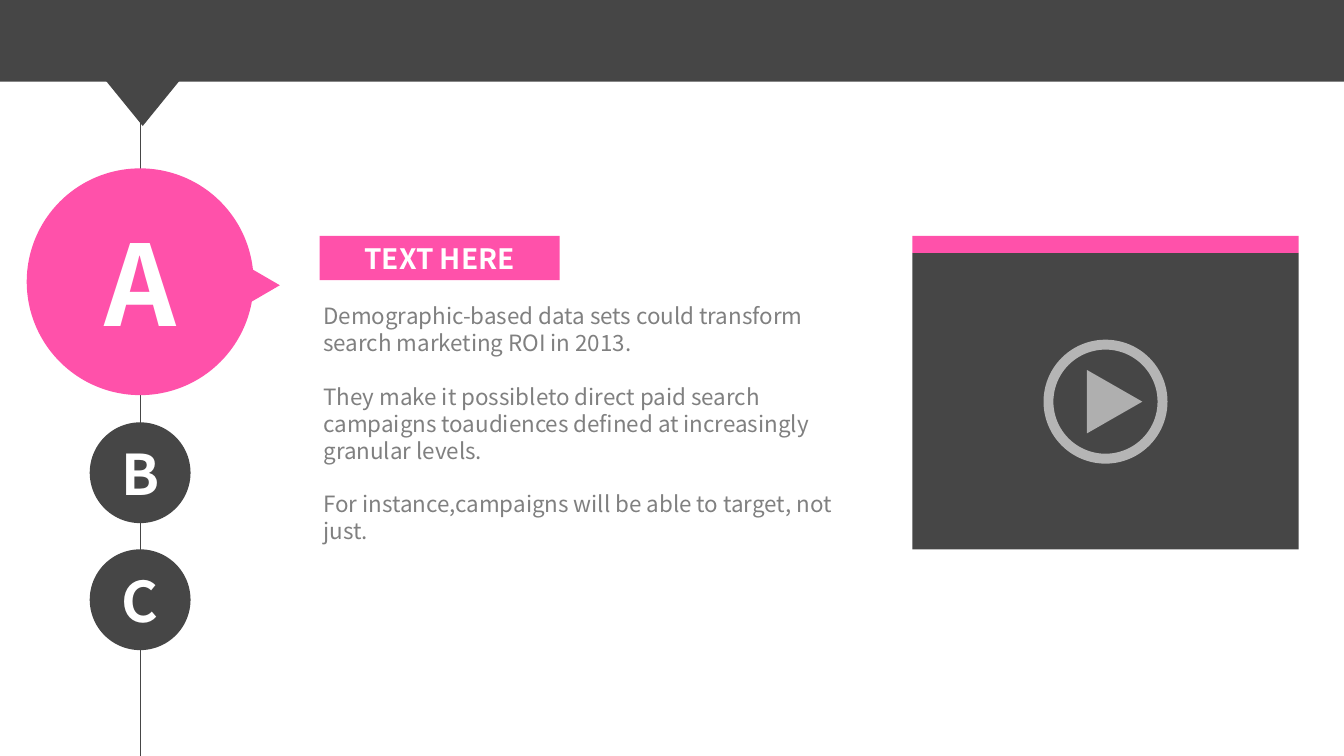
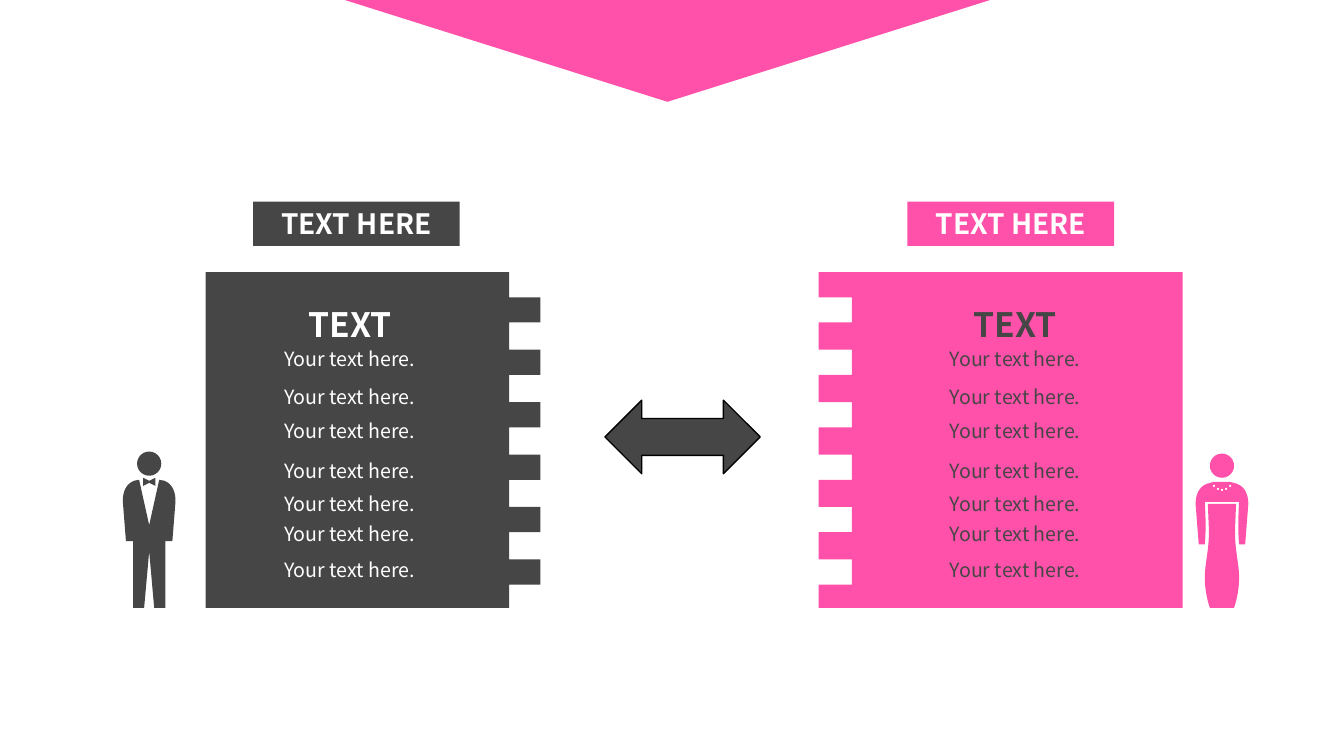
"""Build two pink and charcoal slides: a video agenda and a two-sided comparison."""
from lxml.etree import SubElement
from pptx import Presentation
from pptx.dml.color import RGBColor
from pptx.enum.shapes import MSO_CONNECTOR, MSO_SHAPE
from pptx.enum.text import MSO_ANCHOR, PP_ALIGN
from pptx.oxml.ns import qn
from pptx.util import Inches, Pt

COLORS = {"pink": "FF51AA", "dark": "464646", "white": "FFFFFF",
          "gray": "808080", "black": "000000"}
FONT = "Noto Sans CJK SC"
BLANK_LAYOUT = 6


def color(name):
    return RGBColor.from_string(COLORS[name])


def curve(start, first_control, second_control, end, steps=12):
    points = []
    for step in range(steps + 1):
        t = step / steps
        weights = ((1 - t) ** 3, 3 * t * (1 - t) ** 2, 3 * t * t * (1 - t), t ** 3)
        anchors = (start, first_control, second_control, end)
        points.append(tuple(sum(w * p[axis] for w, p in zip(weights, anchors))
                            for axis in (0, 1)))
    return points


def mirrored(center, half):
    right = [(center + x, y) for x, y in half]
    left = [(center - x, y) for x, y in reversed(half)]
    return right + left


class Deck:
    def __init__(self):
        self.presentation = Presentation()
        self.presentation.slide_width = Inches(13.33)
        self.presentation.slide_height = Inches(7.5)

    def new_slide(self):
        layout = self.presentation.slide_layouts[BLANK_LAYOUT]
        self.slide = self.presentation.slides.add_slide(layout)
        self.end_group()

    def start_group(self):
        self.shapes = self.slide.shapes.add_group_shape().shapes

    def end_group(self):
        self.shapes = self.slide.shapes

    def paint(self, shape, fill, alpha=None):
        shape.shadow.inherit = False
        shape.fill.solid()
        shape.fill.fore_color.rgb = color(fill)
        shape.line.fill.background()
        if alpha:
            fill_color = shape._element.spPr.find(qn("a:solidFill"))[0]
            SubElement(fill_color, qn("a:alpha")).set("val", str(alpha * 1000))

    def shape(self, kind, left, top, width, height, fill, rotation=0, alpha=None):
        shape = self.shapes.add_shape(kind, Inches(left), Inches(top),
                                      Inches(width), Inches(height))
        shape.rotation = rotation
        self.paint(shape, fill, alpha)
        return shape

    def outline(self, points, fill):
        corners = [(Inches(x), Inches(y)) for x, y in points]
        builder = self.shapes.build_freeform(*corners[0])
        builder.add_line_segments(corners[1:], close=True)
        self.paint(builder.convert_to_shape(), fill)

    def set_text(self, shape, paragraphs, size, fill, bold=False,
                 align=PP_ALIGN.LEFT, anchor=MSO_ANCHOR.TOP, gap=0):
        frame = shape.text_frame
        frame.word_wrap = True
        frame.vertical_anchor = anchor
        for index, text in enumerate(paragraphs):
            paragraph = frame.add_paragraph() if index else frame.paragraphs[0]
            paragraph.text = text
            paragraph.alignment = align
            if index:
                paragraph.space_before = Pt(gap)
            paragraph.font.name = FONT
            paragraph.font.size = Pt(size)
            paragraph.font.bold = bold
            paragraph.font.color.rgb = color(fill)

    def text(self, left, top, width, height, paragraphs, size, fill, **style):
        box = self.shapes.add_textbox(Inches(left), Inches(top),
                                      Inches(width), Inches(height))
        self.set_text(box, paragraphs, size, fill, **style)

    def caption(self, kind, left, top, width, height, fill, text, size):
        shape = self.shape(kind, left, top, width, height, fill)
        self.set_text(shape, [text], size, "white", bold=True,
                      align=PP_ALIGN.CENTER, anchor=MSO_ANCHOR.MIDDLE)

    def label(self, left, top, width, fill):
        self.caption(MSO_SHAPE.RECTANGLE, left, top, width, 0.44, fill, "TEXT HERE", 20)

    def line(self, start, end, fill, width):
        connector = self.shapes.add_connector(
            MSO_CONNECTOR.STRAIGHT, *(Inches(value) for value in start + end))
        connector.line.color.rgb = color(fill)
        connector.line.width = Pt(width)
        SubElement(connector._element.spPr, qn("a:effectLst"))

    def comb_panel(self, far, edge, teeth, fill):
        points = [(far, 2.7), (edge, 2.7)]
        for index in range(6):
            top = 2.95 + 0.52 * index
            bottom = top + 0.25
            points += [(edge, top), (teeth, top), (teeth, bottom), (edge, bottom)]
        self.outline(points + [(edge, 6.03), (far, 6.03)], fill)

    def text_list(self, left, fill):
        self.start_group()
        self.text(left + 0.24, 2.97, 1.35, 0.5, ["TEXT"], 24, fill, bold=True)
        for top in (3.39, 3.77, 4.11, 4.5, 4.83, 5.13, 5.49):
            self.text(left, top, 1.64, 0.34, ["Your text here."], 14, fill)
        self.end_group()

    def head(self, center, top, fill):
        self.shape(MSO_SHAPE.OVAL, center - 0.12, top, 0.24, 0.24, fill)

    def man(self, center, fill):
        shoulder = curve((0.15, 4.77), (0.28, 4.82), (0.26, 4.99), (0.26, 4.99))
        suit = [(0, 5.21), (0.1, 4.76), *shoulder, (0.23, 5.37), (0.16, 5.37),
                (0.16, 6.03), (0.05, 6.03), (0, 5.47)]
        bow_tie = [(0, 4.77), (0.06, 4.74), (0.06, 4.82), (0, 4.79)]
        self.start_group()
        self.head(center, 4.48, fill)
        for half in (suit, bow_tie):
            self.outline(mirrored(center, half), fill)
        self.end_group()

    def woman(self, center, fill):
        shoulder = curve((0.15, 4.8), (0.28, 4.85), (0.26, 5.02), (0.26, 5.02))
        sleeve = curve((0.17, 5.4), (0.16, 5.3), (0.16, 5.14), (0.17, 4.98))
        jacket = [(0, 4.78), (0.08, 4.78), *shoulder, (0.23, 5.4), *sleeve, (0, 4.98)]
        hip = curve((0.13, 5.3), (0.13, 5.46), (0.17, 5.6), (0.17, 5.73))
        hem = curve((0.17, 5.73), (0.17, 5.88), (0.13, 6), (0.12, 6.03))
        dress = [(0, 5), (0.14, 5), (0.13, 5.24), *hip, *hem, (0, 6.03)]
        self.start_group()
        for half in (jacket, dress):
            self.outline(mirrored(center, half), fill)
        for offset, top in ((-0.08, 4.81), (-0.04, 4.84), (0, 4.85), (0.04, 4.84), (0.08, 4.81)):
            self.shape(MSO_SHAPE.OVAL, center + offset - 0.01, top, 0.02, 0.02, "white")
        self.head(center, 4.5, fill)
        self.end_group()

    def video(self, left, top, width):
        self.start_group()
        self.shape(MSO_SHAPE.RECTANGLE, left, top + 0.17, width, 2.94, "dark")
        ring = self.shape(MSO_SHAPE.DONUT, 10.35, 3.37, 1.23, 1.23, "white", alpha=60)
        ring.adjustments[0] = 0.08
        self.shape(MSO_SHAPE.ISOSCELES_TRIANGLE, 10.74, 3.71, 0.63, 0.55, "white",
                   rotation=90, alpha=57)
        self.shape(MSO_SHAPE.RECTANGLE, left, top, width, 0.17, "pink")
        self.end_group()


def agenda_slide(deck):
    deck.new_slide()
    deck.shape(MSO_SHAPE.ISOSCELES_TRIANGLE, 1.65, 2.31, 1.21, 1.04, "pink", rotation=90)
    deck.line((1.39, 0), (1.39, 7.5), "dark", 0.5)
    for letter, top, diameter, fill, size in (("A", 1.67, 2.25, "pink", 80),
                                              ("B", 4.19, 1, "dark", 40),
                                              ("C", 5.45, 1, "dark", 40)):
        deck.caption(MSO_SHAPE.OVAL, 1.39 - diameter / 2, top, diameter, diameter,
                     fill, letter, size)
    deck.shape(MSO_SHAPE.ISOSCELES_TRIANGLE, 0.74, 0.42, 1.35, 0.83, "dark", rotation=180)
    deck.shape(MSO_SHAPE.RECTANGLE, 0, 0, 13.33, 0.81, "dark")
    deck.video(9.05, 2.34, 3.83)
    deck.text(3.11, 2.95, 5.44, 2.79, [
        "Demographic-based data sets could transform search marketing ROI in 2013.",
        "They make it possibleto direct paid search campaigns toaudiences defined at "
        "increasingly granular levels.",
        "For instance,campaigns will be able to target, not just.",
    ], 16, "gray", gap=19.2)
    deck.label(3.17, 2.34, 2.38, "pink")


def comparison_slide(deck):
    deck.new_slide()
    deck.comb_panel(11.73, 8.12, 8.45, "pink")
    deck.comb_panel(2.04, 5.05, 5.36, "dark")
    arrow = deck.shape(MSO_SHAPE.LEFT_RIGHT_ARROW, 6, 3.97, 1.54, 0.73, "dark")
    arrow.line.color.rgb = color("black")
    arrow.line.width = Pt(1)
    deck.text_list(2.72, "white")
    deck.text_list(9.32, "dark")
    deck.shape(MSO_SHAPE.ISOSCELES_TRIANGLE, 3.42, 0, 6.4, 1.01, "pink", rotation=180)
    deck.man(1.48, "dark")
    deck.woman(12.12, "pink")
    deck.label(2.51, 2, 2.05, "dark")
    deck.label(9, 2, 2.05, "pink")


def main():
    deck = Deck()
    agenda_slide(deck)
    comparison_slide(deck)
    deck.presentation.save("out.pptx")


if __name__ == "__main__":
    main()
